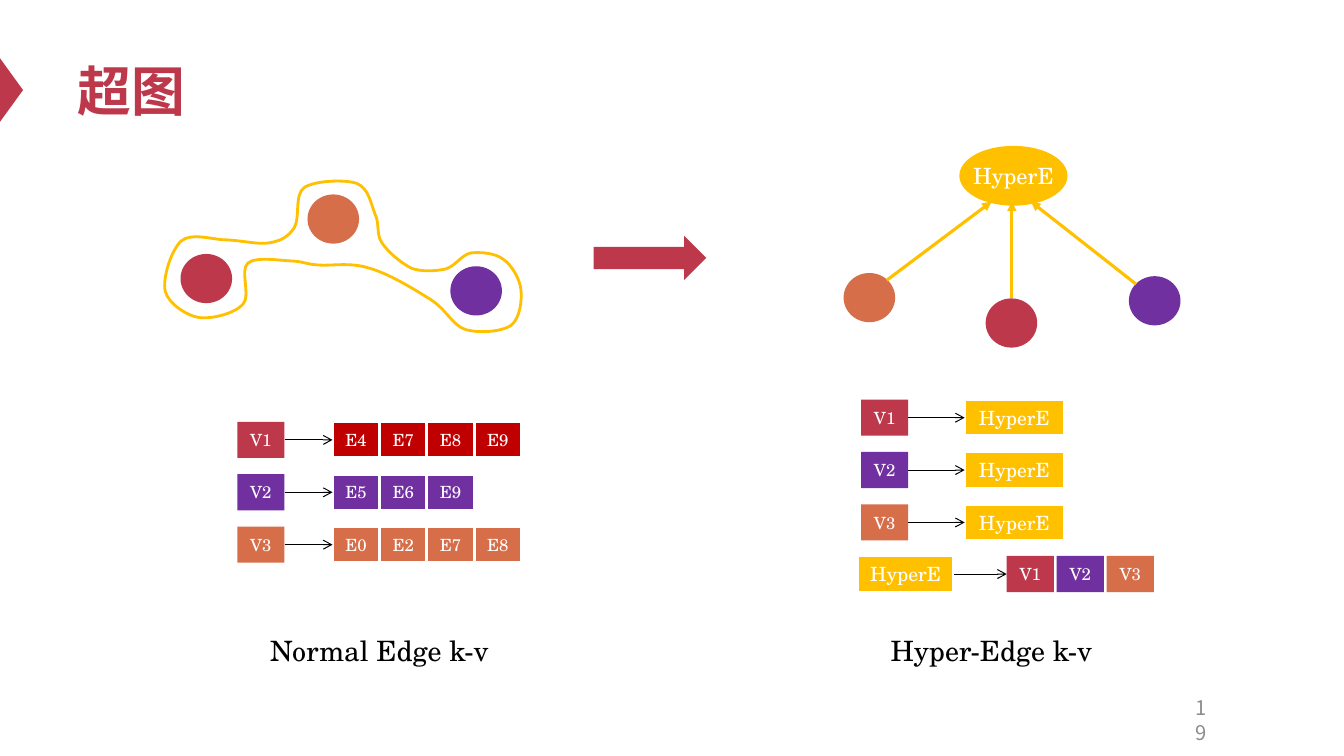
from lxml import etree
from pptx import Presentation
from pptx.dml.color import RGBColor
from pptx.enum.shapes import MSO_CONNECTOR, MSO_SHAPE
from pptx.enum.text import MSO_ANCHOR, PP_ALIGN
from pptx.oxml.ns import qn
from pptx.util import Cm, Pt

RECT, OVAL = MSO_SHAPE.RECTANGLE, MSO_SHAPE.OVAL
TRIANGLE, BLOCK_ARROW = MSO_SHAPE.ISOSCELES_TRIANGLE, MSO_SHAPE.RIGHT_ARROW
STRAIGHT = MSO_CONNECTOR.STRAIGHT
LEFT, CENTER, RIGHT = PP_ALIGN.LEFT, PP_ALIGN.CENTER, PP_ALIGN.RIGHT
MIDDLE = MSO_ANCHOR.MIDDLE
color = RGBColor.from_string

RED, ORANGE, PURPLE = "BE384B", "D66E49", "7030A0"
DARK_RED, YELLOW, WHITE, BLACK = "C00000", "FFC000", "FFFFFF", "000000"
SERIF, CJK = "TeX Gyre Schola", "Noto Sans CJK SC"

prs = Presentation()
prs.slide_width, prs.slide_height = Cm(33.87), Cm(19.05)
s = prs.slides.add_slide(prs.slide_layouts[6])


def add_box(x, y, w, h, text="", kind=None, fill=None, line=None, width=2,
            size=12, font=SERIF, ink=WHITE, bold=False, align=CENTER, inset=0):
    """Add a preset shape, or a text box when kind is None; lengths in cm."""
    place = Cm(x), Cm(y), Cm(w), Cm(h)
    if kind is None:
        sp = s.shapes.add_textbox(*place)
    else:
        sp = s.shapes.add_shape(kind, *place)
        sp.shadow.inherit = False
        sp.fill.solid()
        sp.fill.fore_color.rgb = color(fill)
        if line:
            sp.line.color.rgb = color(line)
            sp.line.width = Pt(width)
        else:
            sp.line.fill.background()
    if text:
        tf = sp.text_frame
        tf.word_wrap = True
        tf.vertical_anchor = MIDDLE
        tf.margin_left = tf.margin_right = Cm(inset)
        tf.margin_top = tf.margin_bottom = 0
        p = tf.paragraphs[0]
        p.alignment = align
        r = p.add_run()
        r.text = text
        r.font.size, r.font.bold = Pt(size), bold
        r.font.color.rgb = color(ink)
        r.font.name = font
        ea = etree.SubElement(r.font._element, qn("a:ea"))
        ea.set("typeface", CJK)
    return sp


def add_arrow(start, end, line=BLACK, width=0.75, head="arrow"):
    """Join the right side of one box to the left of another, or two points."""
    if isinstance(start, tuple):
        cn = s.shapes.add_connector(STRAIGHT, *map(Cm, start + end))
    else:
        cn = s.shapes.add_connector(STRAIGHT, 0, 0, 0, 0)
        cn.begin_connect(start, 3)
        cn.end_connect(end, 1)
    cn.line.color.rgb = color(line)
    cn.line.width = Pt(width)
    etree.SubElement(cn.line._get_or_add_ln(), qn("a:tailEnd")).set("type", head)
    etree.SubElement(cn._element.spPr, qn("a:effectLst"))


# Title, marker and page number
add_box(-0.51, 1.98, 1.6, 0.58, kind=TRIANGLE, fill=RED).rotation = 90
add_box(1.7, 0.76, 30.48, 3, "超图", size=38.4, font="Calibri", ink=RED,
        bold=True, align=LEFT, inset=0.25)
add_box(29.72, 17.63, 0.94, 1.02, "19", size=14.4, font=CJK, ink="8C8C8C",
        align=RIGHT, inset=0.25)

# Vertices of both graphs
for x, y, fill in [(4.55, 6.4, RED), (7.75, 4.9, ORANGE), (11.35, 6.71, PURPLE),
                   (21.26, 6.88, ORANGE), (24.84, 7.52, RED), (28.45, 6.96, PURPLE)]:
    add_box(x, y, 1.3, 1.24, kind=OVAL, fill=fill)
add_box(14.96, 5.94, 2.84, 1.12, kind=BLOCK_ARROW, fill=RED)

# Hyperedge node and the arrows into it
for start, end in [((22.35, 7.06), (24.99, 5.08)), ((25.5, 7.52), (25.5, 5.08)),
                   ((28.63, 7.16), (25.98, 5.08))]:
    add_arrow(start, end, line=YELLOW, width=2.25, head="triangle")
add_box(24.23, 3.73, 2.62, 1.4, "HyperE", kind=OVAL, fill=YELLOW, line=YELLOW,
        width=3, size=16).text_frame.word_wrap = False

# Hyperedge outline: start point, then three Bezier points per curve,
# in hundredths of an inch
outline = [
    (164, 289),
    (161, 276), (170, 248), (180, 239), (190, 231), (208, 237), (222, 238),
    (237, 238), (256, 243), (267, 241), (279, 239), (286, 235), (292, 226),
    (298, 216), (292, 193), (302, 186), (313, 179), (343, 178), (354, 182),
    (366, 187), (368, 202), (372, 212), (377, 222), (373, 232), (379, 241),
    (385, 250), (398, 261), (408, 266), (418, 270), (432, 269), (442, 267),
    (452, 264), (458, 253), (467, 251), (477, 250), (491, 251), (499, 257),
    (508, 263), (516, 277), (517, 288), (518, 298), (516, 316), (507, 323),
    (498, 329), (476, 331), (462, 327), (449, 323), (443, 307), (427, 297),
    (411, 287), (385, 271), (366, 266), (348, 260), (328, 264), (316, 263),
    (303, 262), (303, 260), (291, 259), (280, 259), (255, 254), (246, 261),
    (238, 268), (249, 294), (241, 302), (233, 311), (210, 317), (197, 315),
    (185, 313), (167, 301), (164, 289),
]
builder = s.shapes.build_freeform(*outline[0], scale=Cm(0.0254))
builder.add_line_segments(outline[1:], close=True)
loop = builder.convert_to_shape()
loop.shadow.inherit = False
loop.fill.background()
loop.line.color.rgb = color(YELLOW)
loop.line.width = Pt(2)
segments = list(loop._element.iter(qn("a:lnTo")))
for i in range(0, len(segments), 3):
    curve = etree.Element(qn("a:cubicBezTo"))
    segments[i].addprevious(curve)
    for segment in segments[i:i + 3]:
        curve.append(segment[0])
        segment.getparent().remove(segment)

# Key-value rows: normal edges on the left, hyperedges on the right
CELL_W, CELL_H, ROW_STEP = 1.19, 0.91, 1.32
rows = [("V1", RED, DARK_RED, ["E4", "E7", "E8", "E9"]),
        ("V2", PURPLE, PURPLE, ["E5", "E6", "E9"]),
        ("V3", ORANGE, ORANGE, ["E0", "E2", "E7", "E8"])]
for i, (vertex, fill, edge_fill, edges) in enumerate(rows):
    y = 10.63 + i * ROW_STEP
    key = add_box(5.98, y, CELL_W, CELL_H, vertex, kind=RECT, fill=fill)
    cells = [add_box(8.38 + j * CELL_W, y, CELL_W, CELL_H, edge, kind=RECT,
                     fill=edge_fill, line=WHITE) for j, edge in enumerate(edges)]
    add_arrow(key, cells[0])

    y = 10.07 + i * ROW_STEP
    key = add_box(21.7, y, CELL_W, CELL_H, vertex, kind=RECT, fill=fill)
    value = add_box(24.31, y, 2.51, CELL_H, "HyperE", kind=RECT, fill=YELLOW,
                    line=WHITE, size=14)
    add_arrow(key, value)

# Hyperedge row listing its vertices
key = add_box(21.62, 14.01, 2.41, CELL_H, "HyperE", kind=RECT, fill=YELLOW,
              line=WHITE, size=14)
members = [add_box(25.37 + j * 1.26, 14.01, CELL_W, CELL_H, vertex, kind=RECT, fill=fill)
           for j, (vertex, fill, *_) in enumerate(rows)]
add_arrow(key, members[0])

# Captions
for x, w, caption in [(5.36, 8.41, "Normal Edge k-v"), (21.16, 7.65, "Hyper-Edge k-v")]:
    add_box(x, 15.82, w, 1.12, caption, size=20, ink=BLACK)

prs.save("out.pptx")
